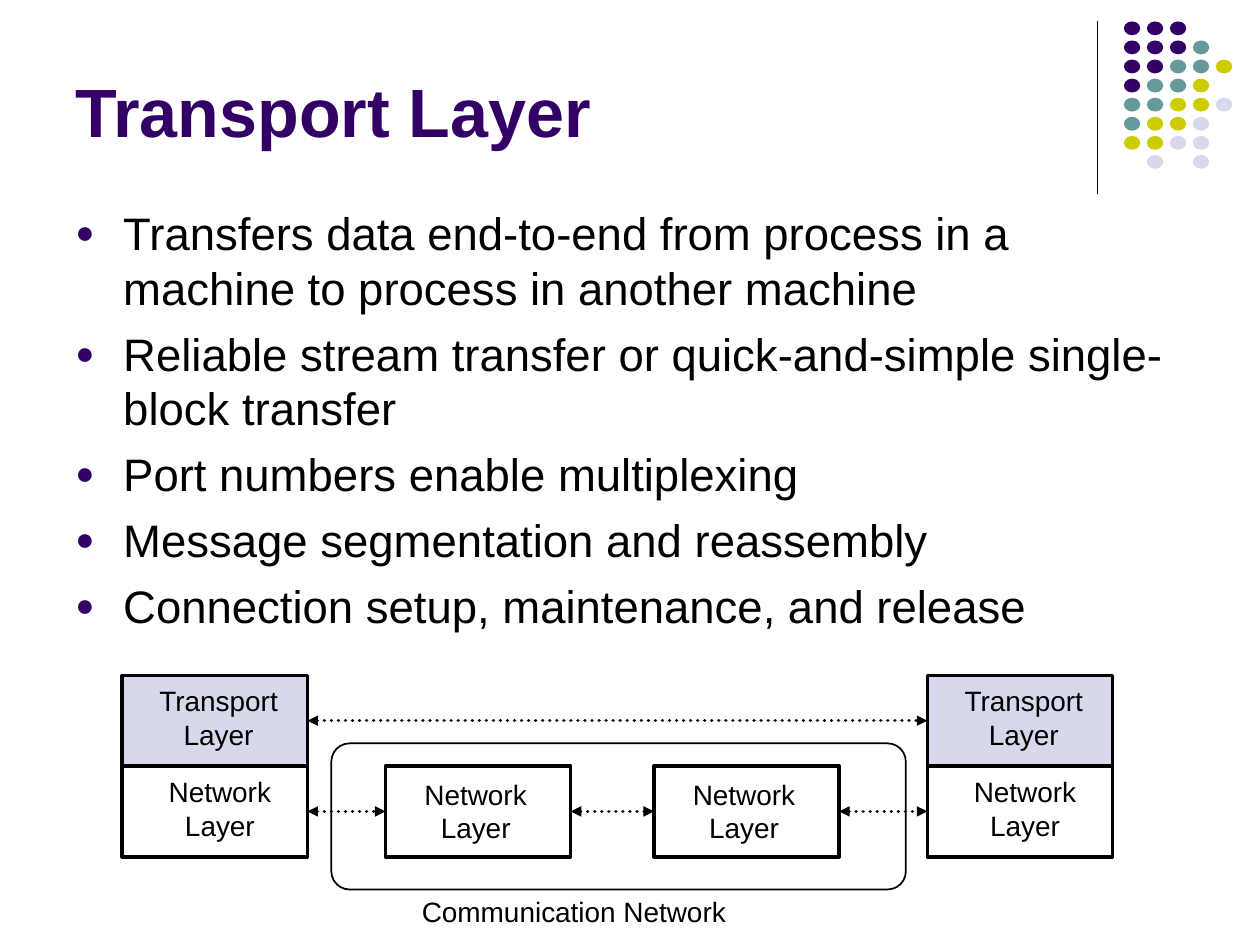
import pptx
import pptx.dml.color
import pptx.enum.dml
import pptx.enum.shapes
import pptx.enum.text
import pptx.oxml
import pptx.oxml.ns
import pptx.util
from lxml import etree

Inches = pptx.util.Inches
Pt = pptx.util.Pt
RGBColor = pptx.dml.color.RGBColor
SHAPE = pptx.enum.shapes.MSO_SHAPE
ALIGN = pptx.enum.text.PP_ALIGN
ANCHOR = pptx.enum.text.MSO_ANCHOR

PURPLE = RGBColor(0x33, 0x00, 0x66)
TEAL = RGBColor(0x66, 0x99, 0x99)
LIME = RGBColor(0xCC, 0xCC, 0x00)
LAVENDER = RGBColor(0xD8, 0xD8, 0xEC)
BLACK = RGBColor(0, 0, 0)

DOT_COLORS = {"P": PURPLE, "T": TEAL, "L": LIME, "V": LAVENDER}
DOT_ROWS = ["PPP", "PPPT", "PPTTL", "PTTL", "TTLLV", "TLLV", "LLVV", " V V"]

TITLE_FONT = {"name": "Arial", "size": Pt(39), "bold": True}
BODY_FONT = {"name": "Arial", "size": Pt(26)}
LABEL_FONT = {"name": "Arial", "size": Pt(16)}

BULLETS = [
    "Transfers data end-to-end from process in a machine to process in another machine",
    "Reliable stream transfer or quick-and-simple single-block transfer",
    "Port numbers enable multiplexing",
    "Message segmentation and reassembly",
    "Connection setup, maintenance, and release",
]

LAYER_WIDTH, LAYER_HEIGHT = 1.47, 0.72
RIGHT_SIDE, LEFT_SIDE = 3, 1


def apply_format(target, values):
    for name, value in values.items():
        setattr(target, name, value)


def add_text(slide, box, paragraphs, font, color=BLACK, align=ALIGN.LEFT,
             wrap=False, anchor=ANCHOR.TOP):
    frame = slide.shapes.add_textbox(*map(Inches, box)).text_frame
    apply_format(frame, {"word_wrap": wrap, "vertical_anchor": anchor})
    frame.text = "\n".join(paragraphs)
    for paragraph in frame.paragraphs:
        paragraph.alignment = align
        for run in paragraph.runs:
            apply_format(run.font, font)
            run.font.color.rgb = color
    return frame


def add_outline(slide, preset, box, width, fill=None):
    outline = slide.shapes.add_shape(preset, *map(Inches, box))
    outline.shadow.inherit = False
    if fill is None:
        outline.fill.background()
    else:
        outline.fill.solid()
        outline.fill.fore_color.rgb = fill
    outline.line.color.rgb = BLACK
    outline.line.width = Pt(width)
    return outline


def add_line(slide, start, end, width):
    line = slide.shapes.add_connector(
        pptx.enum.shapes.MSO_CONNECTOR.STRAIGHT, *map(Inches, (*start, *end)))
    line.line.color.rgb = BLACK
    line.line.width = Pt(width)
    etree.SubElement(line._element.spPr, pptx.oxml.ns.qn("a:effectLst"))
    return line


def add_corner_ornament(slide, left, top):
    add_line(slide, (left, top), (left, top + 1.37), 0.75)
    for row, codes in enumerate(DOT_ROWS):
        for column, code in enumerate(codes):
            if code not in DOT_COLORS:
                continue
            dot = slide.shapes.add_shape(
                SHAPE.OVAL, Inches(left + 0.21 + column * 0.73 / 4),
                Inches(top + row * 1.06 / 7), Inches(0.13), Inches(0.11))
            dot.shadow.inherit = False
            dot.fill.solid()
            dot.fill.fore_color.rgb = DOT_COLORS[code]
            dot.line.fill.background()


def add_bullets(slide, box):
    frame = add_text(slide, box, BULLETS, BODY_FONT, wrap=True)
    for index, paragraph in enumerate(frame.paragraphs):
        properties = paragraph._p.get_or_add_pPr()
        properties.set("marL", str(Inches(0.38)))
        properties.set("indent", str(Inches(-0.38)))
        for bullet_xml in (
            f'<a:buClr %s><a:srgbClr val="{PURPLE}"/></a:buClr>',
            '<a:buSzPct %s val="70000"/>',
            '<a:buFont %s typeface="Arial"/>',
            '<a:buChar %s char="●"/>',
        ):
            properties.append(pptx.oxml.parse_xml(
                bullet_xml % pptx.oxml.ns.nsdecls("a")))
        paragraph.space_before = Pt(6.5 if index else 0)


def add_layer(slide, left, top, name, label_dx, label_dy, fill=None):
    """Draw one protocol layer; the label offsets are from its corner."""
    layer = add_outline(slide, SHAPE.RECTANGLE,
                        (left, top, LAYER_WIDTH, LAYER_HEIGHT), 2, fill)
    label_width = 1.15 if name == "Transport" else 1.01
    add_text(slide, (left + label_dx, top + label_dy, label_width, 0.63),
             [name, "Layer"], LABEL_FONT, align=ALIGN.CENTER)
    return layer


def add_host(slide, left, top):
    return (add_layer(slide, left, top, "Transport", 0.19, 0.02, LAVENDER),
            add_layer(slide, left, top + LAYER_HEIGHT, "Network", 0.27, 0.02))


def add_peer_link(slide, left_layer, right_layer):
    """Join two layers by a dotted line with an arrowhead at each end."""
    link = add_line(slide, (0, 0), (0, 0), 2)
    link.begin_connect(left_layer, RIGHT_SIDE)
    link.end_connect(right_layer, LEFT_SIDE)
    link.line.dash_style = pptx.enum.dml.MSO_LINE.ROUND_DOT
    outline = link.line._get_or_add_ln()
    outline.set("cap", "rnd")
    for end in ("a:headEnd", "a:tailEnd"):
        etree.SubElement(outline, pptx.oxml.ns.qn(end), type="triangle")


def add_network_diagram(slide, left, top):
    left_transport, left_network = add_host(slide, left, top)
    right_transport, right_network = add_host(slide, left + 6.39, top)
    routers = [add_layer(slide, left + dx, top + LAYER_HEIGHT, "Network", 0.21, 0.04)
               for dx in (2.09, 4.22)]
    cloud = add_outline(slide, SHAPE.ROUNDED_RECTANGLE,
                        (left + 1.66, top + 0.54, 4.56, 1.16), 1)
    cloud.adjustments[0] = 0.125
    add_text(slide, (left + 2.28, top + 1.69, 2.8, 0.36),
             ["Communication Network"], LABEL_FONT, wrap=True)
    add_peer_link(slide, left_transport, right_transport)
    network_layers = [left_network, *routers, right_network]
    for layer, next_layer in zip(network_layers, network_layers[1:]):
        add_peer_link(slide, layer, next_layer)


def main():
    presentation = pptx.Presentation()
    presentation.slide_width = Inches(10)
    presentation.slide_height = Inches(7.5)
    slide = presentation.slides.add_slide(presentation.slide_layouts[6])
    add_corner_ornament(slide, 8.71, 0.17)
    add_text(slide, (0.5, 0.13, 8.25, 1.12), ["Transport Layer"], TITLE_FONT,
             PURPLE, wrap=True, anchor=ANCHOR.BOTTOM)
    add_bullets(slide, (0.5, 1.58, 9, 3.58))
    add_network_diagram(slide, 0.97, 5.36)
    presentation.save("out.pptx")


if __name__ == "__main__":
    main()
